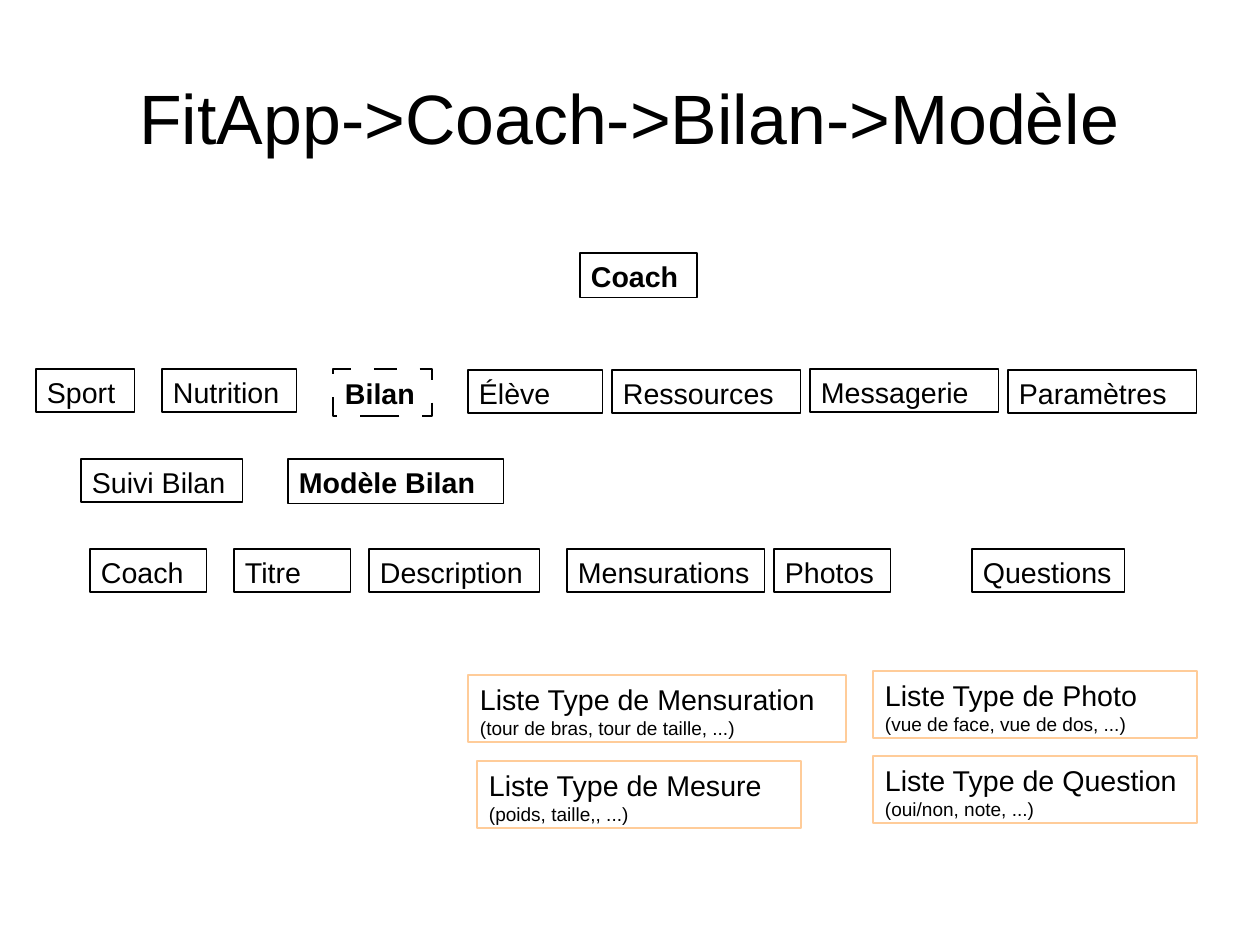
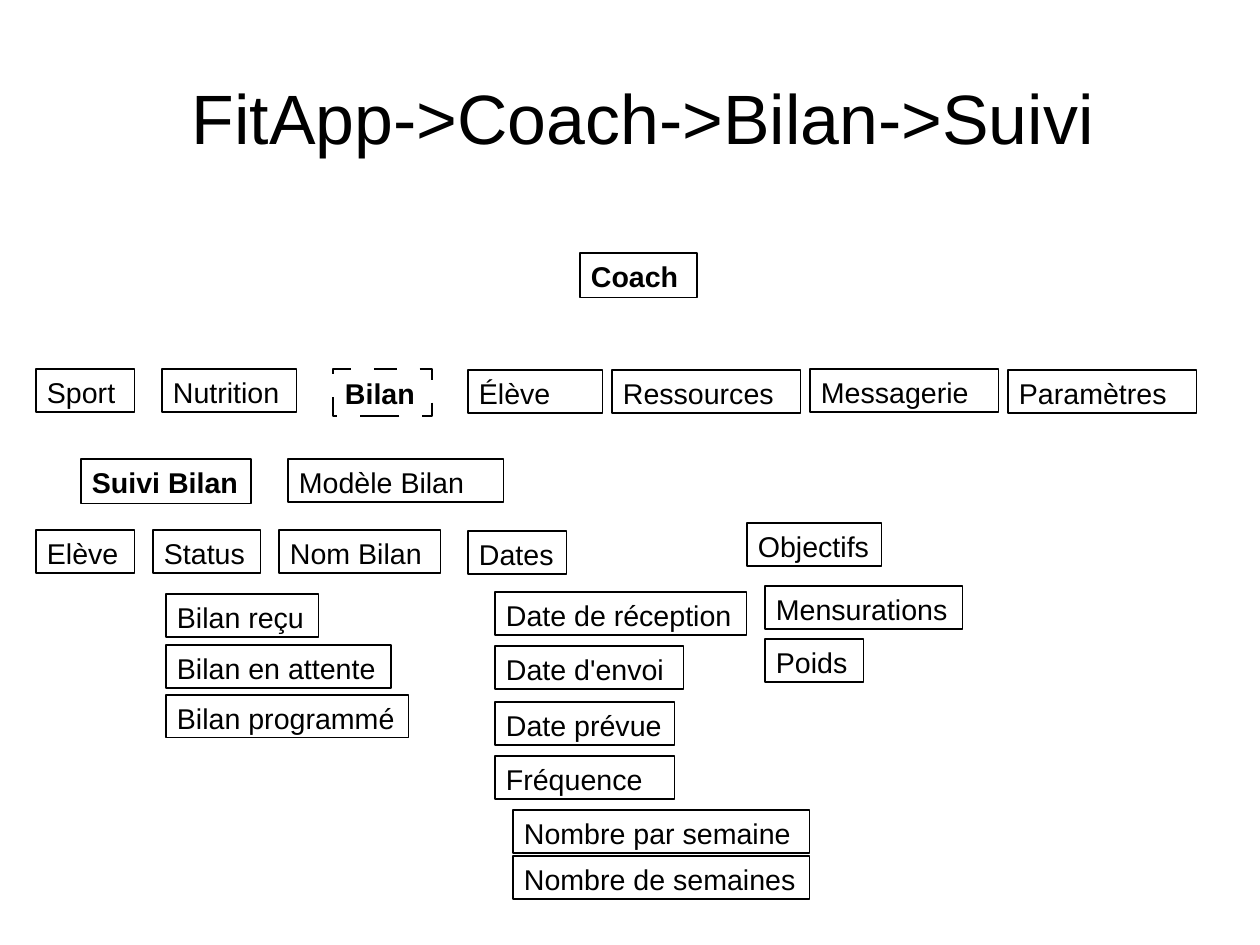
from lxml import etree
from pptx import Presentation
from pptx.dml.color import RGBColor
from pptx.enum import shapes, text
from pptx.oxml.ns import qn
from pptx.util import Emu, Pt

PX = 8000
FONT, INK, PEACH = "Arial", "000000", "FFCC99"


def color(code):
    return RGBColor.from_string(code)


def box(slide, x, y, w, h, label, bold=False, line=INK, width=0, note=None):
    rect = slide.shapes.add_shape(
        shapes.MSO_SHAPE.RECTANGLE, *(Emu(n * PX) for n in (x, y, w, h)))
    rect.shadow.inherit = False
    rect.fill.background()
    rect.line.color.rgb = color(line)
    rect.line.width = Pt(width)
    frame = rect.text_frame
    frame.word_wrap = True
    frame.vertical_anchor = text.MSO_ANCHOR.TOP
    pad = 1 if width else 0
    frame.margin_left = Emu((11 + pad) * PX)
    frame.margin_right = Emu(6 * PX)
    frame.margin_top = frame.margin_bottom = Emu((6 + pad) * PX)
    para = frame.paragraphs[0]
    para.alignment = text.PP_ALIGN.LEFT
    font = para.font
    font.name, font.size, font.bold = FONT, Pt(18), bold
    font.color.rgb = color(INK)
    para.add_run().text = label
    if note:
        para.add_line_break()
        run = para.add_run()
        run.text = note
        run.font.size = Pt(12)
    return rect


# Menu shared by both slides: left, top, width, label
MENU = [
    (36, 369, 99, "Sport"), (162, 369, 135, "Nutrition"),
    (468, 370, 135, "Élève"), (612, 370, 189, "Ressources"),
    (810, 369, 189, "Messagerie"), (1008, 370, 189, "Paramètres"),
]

# Fields of the model
MODEL = [(x, 549, w, label) for x, w, label in [
    (90, 117, "Coach"), (234, 117, "Titre"), (369, 171, "Description"),
    (567, 198, "Mensurations"), (774, 117, "Photos"), (972, 153, "Questions"),
]]

# Lists of types: left, top, width, label, examples
LISTS = [
    (468, 675, 378, "Liste Type de Mensuration", "(tour de bras, tour de taille, ...)"),
    (873, 671, 324, "Liste Type de Photo", "(vue de face, vue de dos, ...)"),
    (477, 761, 324, "Liste Type de Mesure", "(poids, taille,, ...)"),
    (873, 756, 324, "Liste Type de Question", "(oui/non, note, ...)"),
]

# Fields of the follow-up, with their values below
FOLLOW = [
    (36, 530, 99, "Elève"), (153, 530, 108, "Status"),
    (279, 530, 162, "Nom Bilan"), (468, 531, 99, "Dates"),
    (747, 523, 135, "Objectifs"),
    (166, 594, 153, "Bilan reçu"), (166, 645, 225, "Bilan en attente"),
    (166, 695, 243, "Bilan programmé"),
    (495, 592, 252, "Date de réception"), (495, 646, 189, "Date d'envoi"),
    (495, 702, 180, "Date prévue"), (495, 756, 180, "Fréquence"),
    (513, 810, 297, "Nombre par semaine"), (513, 856, 297, "Nombre de semaines"),
    (765, 586, 198, "Mensurations"), (765, 639, 99, "Poids"),
]

# Title, its left and width, bold branch, width of "Suivi Bilan", fields, lists
PAGES = [
    ("FitApp->Coach->Bilan->Modèle", 63, 1134, "Modèle Bilan", 162, MODEL, LISTS),
    ("FitApp->Coach->Bilan->Suivi", 54, 1179, "Suivi Bilan", 170, FOLLOW, []),
]

deck = Presentation()
deck.slide_width, deck.slide_height = Emu(1260 * PX), Emu(945 * PX)

for title, left, wide, branch, span, fields, lists in PAGES:
    slide = deck.slides.add_slide(deck.slide_layouts[6])

    # Title
    head = slide.shapes.add_textbox(
        *(Emu(n * PX) for n in (left, 38, wide, 158))).text_frame
    head.word_wrap = True
    head.vertical_anchor = text.MSO_ANCHOR.MIDDLE
    head.margin_left = head.margin_right = 0
    head.margin_top = head.margin_bottom = 0
    para = head.paragraphs[0]
    para.text = title
    para.alignment = text.PP_ALIGN.CENTER
    para.font.name, para.font.size = FONT, Pt(44)
    para.font.color.rgb = color(INK)

    # Root and menu
    box(slide, 580, 253, 117, 45, "Coach", bold=True)
    for x, y, w, label in MENU:
        box(slide, x, y, w, 43, label)

    # Current menu entry, with a long dashed frame
    bilan = box(slide, 333, 369, 99, 47, "Bilan", bold=True, width=1.5)
    dash = etree.Element(qn("a:custDash"))
    etree.SubElement(dash, qn("a:ds"), d="960000", sp="960000")
    edge = bilan.element.spPr.find(qn("a:ln"))
    edge.find(qn("a:solidFill")).addnext(dash)

    # Branches and fields
    for x, w, label in [(81, span, "Suivi Bilan"), (288, 216, "Modèle Bilan")]:
        chosen = label == branch
        box(slide, x, 459, w, 45 if chosen else 43, label, bold=chosen)
    for x, y, w, label in fields:
        box(slide, x, y, w, 43, label)

    # Lists of types
    for x, y, w, label, note in lists:
        box(slide, x, y, w, 67, label, line=PEACH, width=1.5, note=note)

deck.save("out.pptx")
